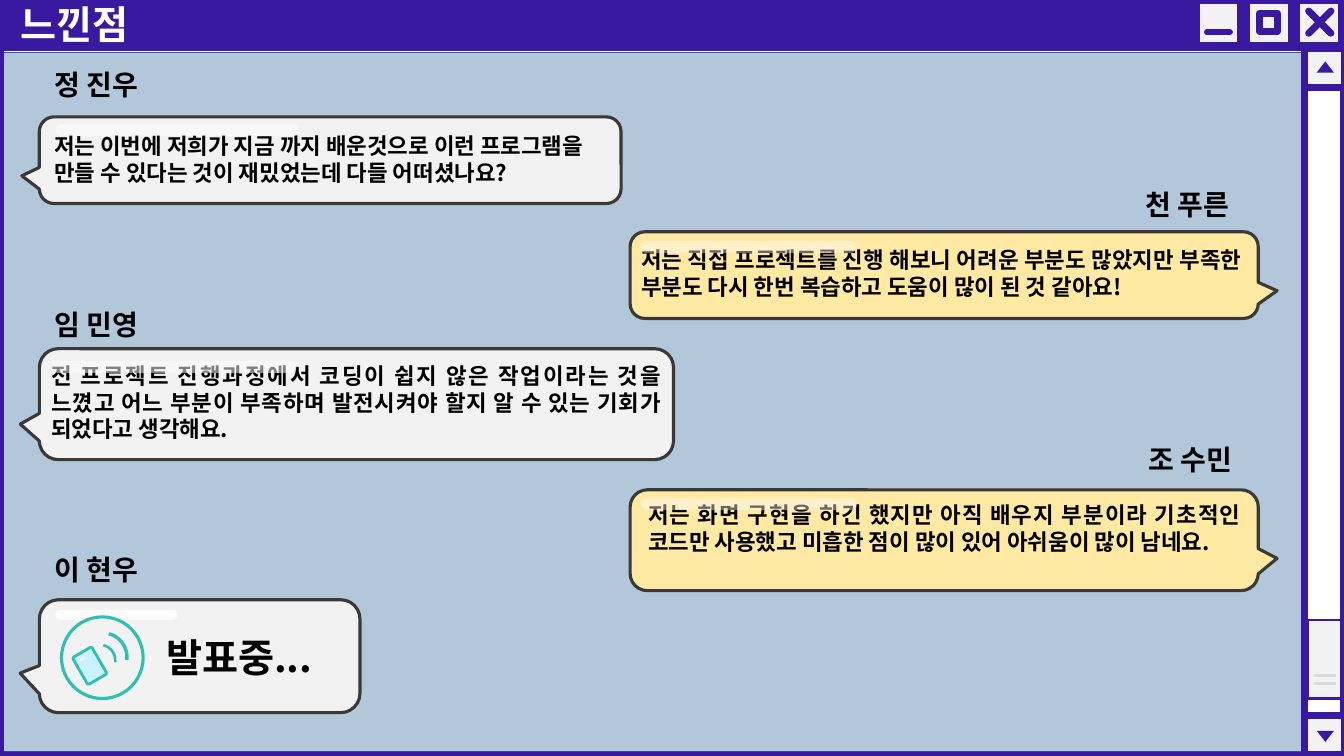
from pptx import Presentation
from pptx.dml.color import RGBColor
from pptx.enum.shapes import MSO_CONNECTOR, MSO_SHAPE
from pptx.enum.text import PP_ALIGN
from pptx.oxml.ns import qn
from pptx.util import Inches, Pt
from lxml.etree import SubElement

# Grid of 133.3 columns by 75 rows
CELL = Inches(0.1)
WIDE, HIGH = 133.3, 75
FONT = "Noto Sans CJK KR"

PURPLE = RGBColor(0x38, 0x19, 0xA0)
BLUE = RGBColor(0xB2, 0xC7, 0xD9)
NAVY = RGBColor(0x32, 0x54, 0x91)
PALE = RGBColor(0xF2, 0xF2, 0xF2)
GREY = RGBColor(0xD9, 0xD9, 0xD9)
CREAM = RGBColor(0xFF, 0xE9, 0xA3)
DARK = RGBColor(0x3B, 0x38, 0x38)
TEAL = RGBColor(0x2F, 0xBF, 0xB0)
ICE = RGBColor(0xC9, 0xF1, 0xFF)
WHITE = RGBColor(0xFF, 0xFF, 0xFF)
BLACK = RGBColor(0, 0, 0)

deck = Presentation()
deck.slide_width, deck.slide_height = Inches(13.33), Inches(7.5)
slide = deck.slides.add_slide(deck.slide_layouts[6])


def draw(kind, left, top, wide, high, fill=None, line=None, width=1, adj=(), turn=0, alpha=100):
    shape = slide.shapes.add_shape(kind, *(round(n * CELL) for n in (left, top, wide, high)))
    shape.shadow.inherit = False
    shape.rotation = turn
    for i, value in enumerate(adj):
        shape.adjustments[i] = value
    if fill is None:
        shape.fill.background()
    else:
        shape.fill.solid()
        shape.fill.fore_color.rgb = fill
        if alpha < 100:
            color = shape.fill._xPr.find(".//" + qn("a:srgbClr"))
            SubElement(color, qn("a:alpha")).set("val", str(alpha * 1000))
    if line is None:
        shape.line.fill.background()
    else:
        shape.line.color.rgb = line
        shape.line.width = Pt(width)


def write(words, left, top, wide, high, size, color=BLACK, align=PP_ALIGN.LEFT):
    box = slide.shapes.add_textbox(*(round(n * CELL) for n in (left, top, wide, high)))
    frame = box.text_frame
    frame.word_wrap = True
    frame.text = words
    frame.paragraphs[0].alignment = align
    run = frame.paragraphs[0].runs[0]
    font = run.font
    font.name, font.size, font.bold = FONT, Pt(size), True
    font.color.rgb = color
    SubElement(run._r.get_or_add_rPr(), qn("a:ea")).set("typeface", FONT)


# Window frame and title bar
draw(MSO_SHAPE.RECTANGLE, -0.2, 5.2, 129.7, 69.4, BLUE, NAVY)
draw(MSO_SHAPE.RECTANGLE, 0, 0, WIDE, HIGH, None, PURPLE, 6)
draw(MSO_SHAPE.RECTANGLE, 0, 0, WIDE + 0.2, 5, PURPLE, PURPLE)
write("느낀점", 1, -0.5, 68.9, 5.7, 28, WHITE)

# Scroll bar
for top, tip, turn in ((4.8, 6.1, 0), (71, 72.5, 180)):
    draw(MSO_SHAPE.RECTANGLE, 129.4, top, 3.9, 3.9, PALE, PURPLE, 5)
    draw(MSO_SHAPE.ISOSCELES_TRIANGLE, 130.6, tip, 1.7, 1.1, PURPLE, turn=turn)
draw(MSO_SHAPE.RECTANGLE, 129.7, 61.5, 3.3, 7.8, PALE, PURPLE, 1.5)

# Window buttons
for i in range(3):
    draw(MSO_SHAPE.RECTANGLE, 118.9 + 5 * i, 0.3, 3.9, 3.9, PALE, PURPLE)
draw(MSO_SHAPE.RECTANGLE, 124.9, 1.3, 1.8, 1.8, PALE, PURPLE, 5)

# Rail, grip marks, close cross and minimise bar
for x1, y1, x2, y2, color, width, cap in (
    (129.4, 4.7, 129.4, 74.9, PURPLE, 5, "flat"),
    (130.3, 67, 132.5, 67, GREY, 2, "flat"),
    (130.3, 67.8, 132.5, 67.8, GREY, 2, "flat"),
    (129.8, 1.1, 132, 3.3, PURPLE, 5, "rnd"),
    (132, 1.1, 129.8, 3.3, PURPLE, 5, "rnd"),
    (119.7, 3.2, 122, 3.2, PURPLE, 4, "rnd"),
):
    ends = (round(n * CELL) for n in (x1, y1, x2, y2))
    rule = slide.shapes.add_connector(MSO_CONNECTOR.STRAIGHT, *ends)
    rule.line.color.rgb = color
    rule.line.width = Pt(width)
    rule.line._get_or_add_ln().set("cap", cap)
    SubElement(rule._element.spPr, qn("a:effectLst"))

# Chat: name and its place, bubble, tail, words, their place, size, align, shine
LEFT, JUST = PP_ALIGN.LEFT, PP_ALIGN.JUSTIFY
GLOSS = (-0.53, 0.18, 0.17)
CHAT = (
    ("정 진우", 4.4, 6.2, (3.9, 11.6, 57.7, 8.6), PALE, (-0.53, 0.18),
     "저는 이번에 저희가 지금 까지 배운것으로 이런 프로그램을 만들 수 있다는 것이 재밌었는데 다들 어떠셨나요?",
     (4.4, 12.6, 58.4, 6.4), 16, LEFT, (5.5, 12.3, 24.2, 1.2), 50),
    ("조 수민", 112.9, 43.4, (62.5, 48.6, 62.3, 10), CREAM, (0.53, 0.18),
     "저는 화면 구현을 하긴 했지만 아직 배우지 부분이라 기초적인 코드만 사용했고 미흡한 점이 많이 있어 아쉬움이 많이 남네요.",
     (63.3, 49.2, 60.8, 9.1), 16, JUST, (63.6, 49.4, 21.4, 1.2), 40),
    ("천 푸른", 112.6, 18.1, (62.5, 23, 62.3, 8.6), CREAM, (0.53, 0.18),
     "저는 직접 프로젝트를 진행 해보니 어려운 부분도 많았지만 부족한 부분도 다시 한번 복습하고 도움이 많이 된 것 같아요!",
     (62.6, 23.9, 61.6, 6.4), 16, JUST, (63.5, 23.9, 21.4, 1.2), 40),
    ("임 민영", 4.4, 30, (3.9, 34.6, 62.9, 11), PALE, (-0.53, 0.18),
     "전 프로젝트 진행과정에서 코딩이 쉽지 않은 작업이라는 것을 느꼈고 어느 부분이 부족하며 발전시켜야 할지 알 수 있는 기회가 되었다고 생각해요.",
     (4.1, 35.4, 62.5, 9.1), 16, JUST, (5.2, 35.8, 24.2, 1.2), 50),
    ("이 현우", 4.4, 54.3, (3.9, 59.5, 31.8, 11.2), PALE, (-0.56, 0.15),
     "발표중...", (15.5, 62.3, 17.9, 5.7), 28, LEFT, (5.5, 60.5, 12.1, 1), 80),
)
for name, left, top, area, fill, tail, words, place, size, align, shine, alpha in CHAT:
    draw(MSO_SHAPE.ROUNDED_RECTANGULAR_CALLOUT, *area, fill, DARK, 2.25, (*tail, 0.17))
    write(name, left, top, 13.2, 4.4, 20)
    write(words, *place, size, align=align)
    draw(MSO_SHAPE.ROUNDED_RECTANGLE, *shine, WHITE, adj=(0.45,), alpha=alpha)

# Phone badge with signal arcs
draw(MSO_SHAPE.OVAL, 6.1, 61.2, 8.1, 8.1, None, TEAL, 2.25)
draw(MSO_SHAPE.ROUNDED_RECTANGLE, 7.8, 64.5, 2.2, 3.1, ICE, TEAL, 2, (0.09,), 330)
draw(MSO_SHAPE.ROUNDED_RECTANGLE, 7.7, 65.3, 0.8, 0.2, WHITE, adj=(0.5,), turn=330, alpha=90)
for left, top, side in ((8.3, 63.9, 3.2), (7.7, 62.7, 5)):
    draw(MSO_SHAPE.BLOCK_ARC, left, top, side, side, TEAL, TEAL, 1, (161.63, 209.25, 0.04), 16.4)

deck.save("out.pptx")
